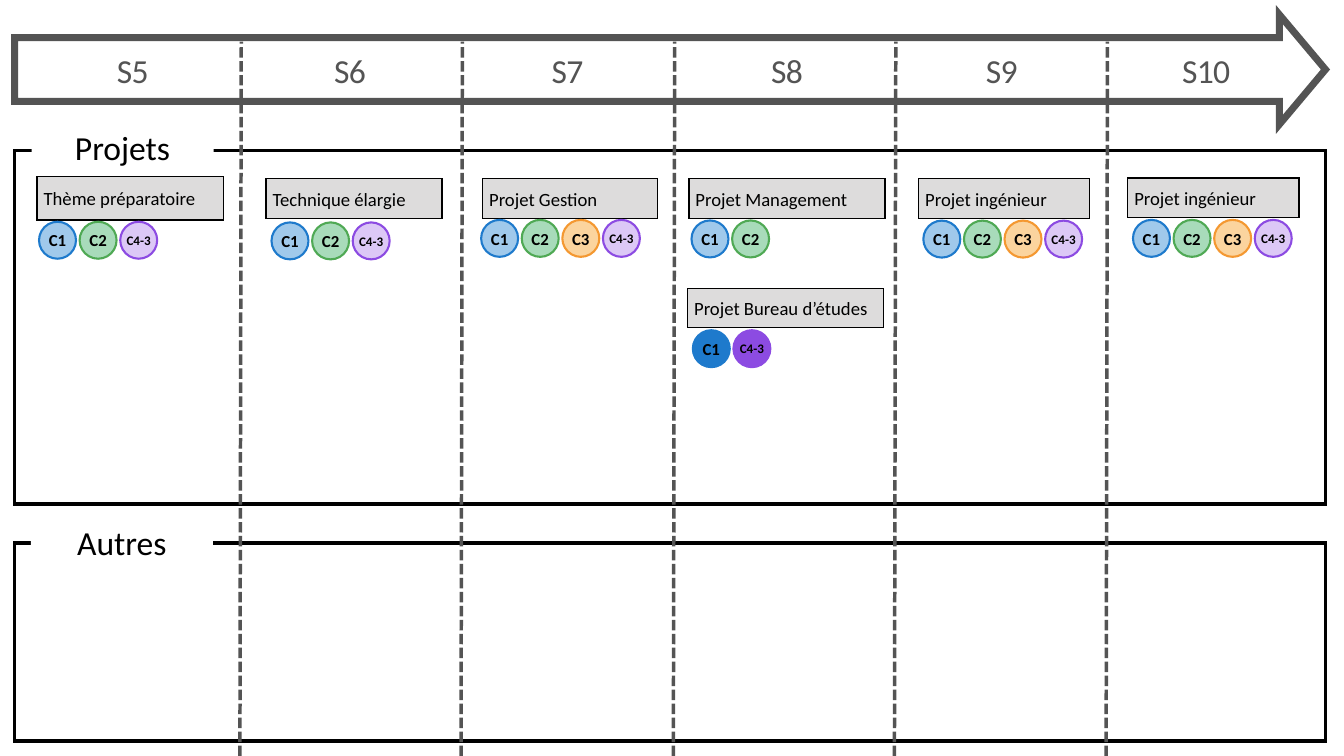
from lxml.etree import SubElement
from pptx import Presentation
from pptx.dml.color import RGBColor
from pptx.enum.dml import MSO_LINE
from pptx.enum.shapes import MSO_CONNECTOR, MSO_SHAPE as Shape
from pptx.enum.text import MSO_ANCHOR as Anchor, PP_ALIGN as Align
from pptx.oxml.ns import qn
from pptx.util import Pt

WIDTH, HEIGHT = 1440, 810
FONT, BLACK, WHITE, GREY, CARD_FILL = "Calibri", "000000", "FFFFFF", "545454", "DDDCDC"
BADGE_SIZE, BADGE_STEP = 39.6, 43.5

SEMESTERS = [
    ("S5", 28.1, 228.2), ("S6", 256.3, 237.6), ("S7", 493.9, 228.2),
    ("S8", 727.2, 231.8), ("S9", 959.8, 226.8), ("S10", 1185.8, 213.1),
]
DIVIDERS = [258.5, 495.4, 722.9, 959.8, 1186.6]
FRAMES = [(581.8, 212.4), (161.3, 379)]
HEADINGS = [("Autres", 33.1, 555.1, Anchor.TOP), ("Projets", 33.8, 135.4, Anchor.MIDDLE)]

# name: (light fill, line colour, text size, opacity of the light fill)
BADGES = {
    "C1": ("A0C9EB", "1E7ACC", 18, None),
    "C2": ("A8DBBA", "4FA954", 18, None),
    "C3": ("FBD49E", "F49831", 18, None),
    "C4-3": ("8C4BE2", "8C4BE2", 14, 30),
}
# name, card (left, top, width, height), badges (left, top), skills, solid badges
PROJECTS = [
    ("Thème préparatoire", (39.6, 189.4, 200.2, 46.4), (41.8, 237.6), "C1 C2 C4-3", False),
    ("Technique élargie", (285.1, 191.5, 188.6, 42.5), (290.9, 238.3), "C1 C2 C4-3", False),
    ("Projet Gestion", (517, 191.5, 187.2, 42.5), (515.5, 235.6), "C1 C2 C3 C4-3", False),
    ("Projet Management", (738, 191.5, 210.2, 42.5), (740.9, 236.2), "C1 C2", False),
    ("Projet Bureau d’études", (736.6, 308.9, 210.2, 42.2), (742.3, 353.8), "C1 C4-3", True),
    ("Projet ingénieur", (984.2, 191.5, 183.4, 42.5), (989.3, 236.4), "C1 C2 C3 C4-3", False),
    ("Projet ingénieur", (1208.2, 190.8, 183.6, 42.5), (1213.9, 235.6), "C1 C2 C3 C4-3", False),
]


def color(value):
    """Turn a hex string into a colour."""
    return RGBColor.from_string(value)


def apply_format(target, values):
    """Set each attribute of the target from a dict."""
    for name, value in values.items():
        setattr(target, name, value)


def add_box(page, kind, bounds, fill=None, line=None, weight=1.5, opacity=None):
    """Add a preset shape with an optional fill and a sharp outline."""
    box = page.shapes.add_shape(kind, *map(Pt, bounds))
    box.shadow.inherit = False
    if fill:
        box.fill.solid()
        box.fill.fore_color.rgb = color(fill)
        if opacity:
            tint = box.fill._xPr.find(".//" + qn("a:srgbClr"))
            SubElement(tint, qn("a:alpha"), val=str(opacity * 1000))
    else:
        box.fill.background()
    if line:
        box.line.color.rgb = color(line)
        box.line.width = Pt(weight)
        SubElement(box.line._get_or_add_ln(), qn("a:miter"), lim="800000")
    else:
        box.line.fill.background()
    return box


def write(box, text, size, ink=BLACK, align=Align.CENTER, anchor=Anchor.MIDDLE,
          bold=False, inset=None):
    """Write one formatted paragraph into a shape and return it."""
    frame = box.text_frame
    apply_format(frame, {"word_wrap": True, "vertical_anchor": anchor})
    if inset is not None:
        sides = ("margin_left", "margin_top", "margin_right", "margin_bottom")
        apply_format(frame, dict.fromkeys(sides, Pt(inset)))
    para = frame.paragraphs[0]
    para.alignment = align
    span = para.add_run()
    span.text = text
    apply_format(span.font, {"name": FONT, "size": Pt(size), "bold": bold})
    span.font.color.rgb = color(ink)
    return para


def add_divider(page, x):
    """Add a slightly slanted dashed line between two semesters."""
    divider = page.shapes.add_connector(
        MSO_CONNECTOR.STRAIGHT, Pt(x - 1.44), Pt(HEIGHT), Pt(x), Pt(44.6))
    divider.line.color.rgb = color(GREY)
    apply_format(divider.line, {"width": Pt(3.75), "dash_style": MSO_LINE.SQUARE_DOT})
    SubElement(divider._element.spPr, qn("a:effectLst"))


def add_semester(page, name, left, width):
    """Add a semester label on the timeline arrow."""
    label = page.shapes.add_textbox(Pt(left), Pt(50.4), Pt(width), Pt(45.4))
    para = write(label, name, 36, GREY, anchor=Anchor.TOP, inset=0)
    para.line_spacing = Pt(46.8)
    para.runs[0].font._element.set("spc", "-70")


def add_badge(page, name, left, top, solid):
    """Add a round skill badge."""
    fill, line, size, opacity = BADGES[name]
    if solid:
        fill, opacity = line, None
    badge = add_box(page, Shape.OVAL, (left, top, BADGE_SIZE, BADGE_SIZE),
                    fill, line, 2.25, opacity)
    write(badge, name, size, bold=True, inset=0)


def add_project(page, name, bounds, start, skills, solid):
    """Add a project card and its row of badges."""
    card = add_box(page, Shape.RECTANGLE, bounds, CARD_FILL, BLACK)
    write(card, name, 20, align=Align.LEFT)
    left, top = start
    for index, skill in enumerate(skills.split()):
        add_badge(page, skill, left + index * BADGE_STEP, top, solid)


def main():
    """Build the slide and save the deck."""
    deck = Presentation()
    apply_format(deck, {"slide_width": Pt(WIDTH), "slide_height": Pt(HEIGHT)})
    page = deck.slides.add_slide(deck.slide_layouts[6])

    arrow = add_box(page, Shape.RIGHT_ARROW, (15.8, 15.8, 1404.4, 117.4), line=GREY, weight=7.5)
    arrow.adjustments[0], arrow.adjustments[1] = 0.58, 0.42
    for top, height in FRAMES:
        add_box(page, Shape.RECTANGLE, (15.8, top, 1404.4, height), line=BLACK, weight=3.75)
    for x in DIVIDERS:
        add_divider(page, x)
    for semester in SEMESTERS:
        add_semester(page, *semester)
    for text, left, top, anchor in HEADINGS:
        heading = add_box(page, Shape.RECTANGLE, (left, top, 195, 43.9), WHITE)
        write(heading, text, 36, anchor=anchor)
    for project in PROJECTS:
        add_project(page, *project)

    deck.save("out.pptx")


if __name__ == "__main__":
    main()
